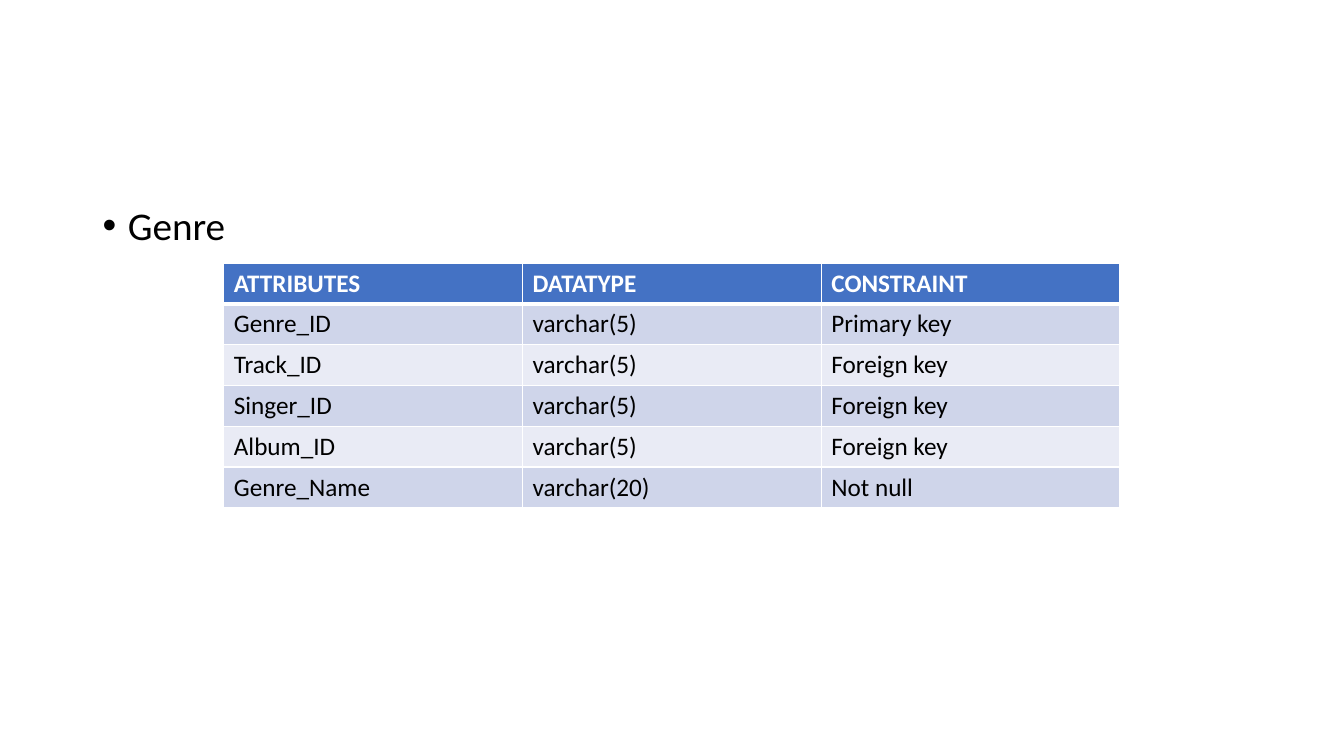
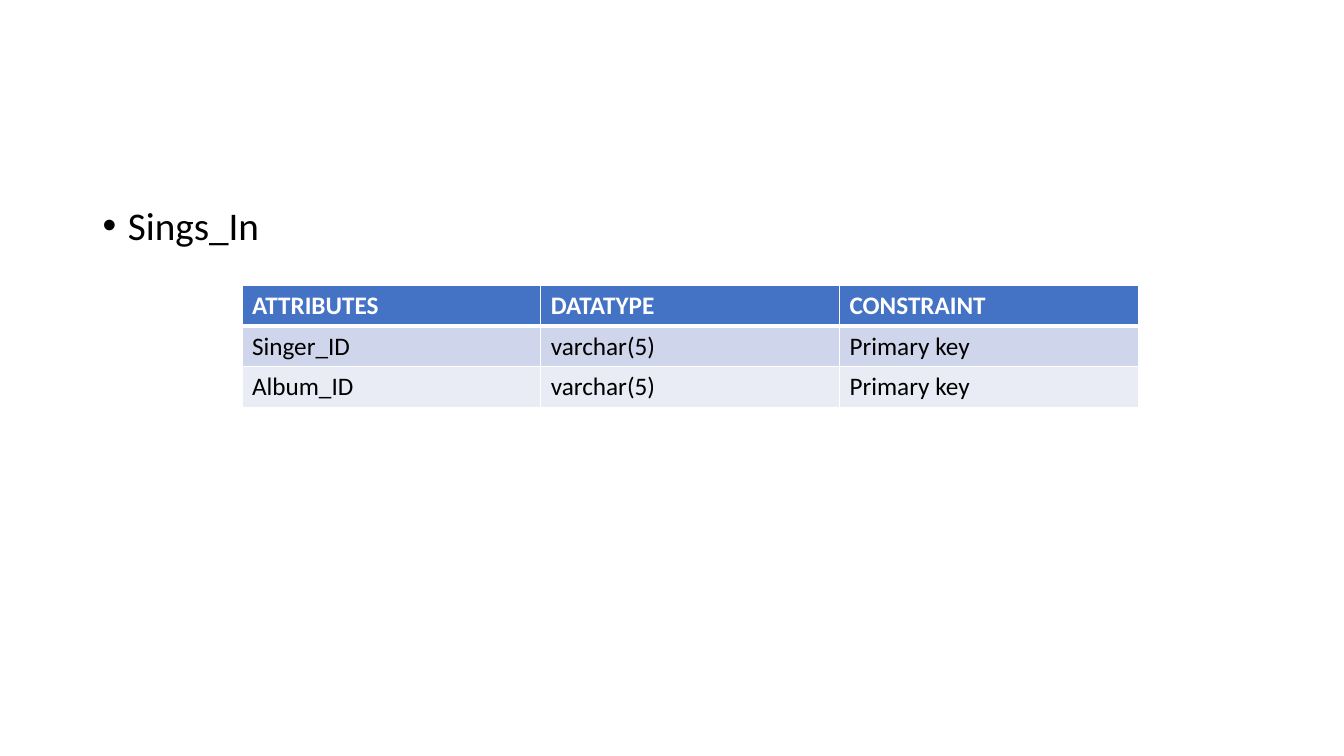
from lxml import etree
from pptx import Presentation
from pptx.dml.color import RGBColor
from pptx.oxml.ns import qn
from pptx.util import Inches, Pt

FONT = "Calibri"
BLACK, WHITE = "000000", "FFFFFF"
HEADER_FILL = "4472C4"
BAND_FILLS = ("CFD5EA", "E9EBF5")
HEADER = ("ATTRIBUTES", "DATATYPE", "CONSTRAINT")
BODY_BOX = (0.92, 2, 11.5, 4.76)
TABLE_W, ROW_H = 8.89, 0.405

ENTITIES = [
    ("Genre", (2.22, 2.61), [
        ("Genre_ID", "varchar(5)", "Primary key"),
        ("Track_ID", "varchar(5)", "Foreign key"),
        ("Singer_ID", "varchar(5)", "Foreign key"),
        ("Album_ID", "varchar(5)", "Foreign key"),
        ("Genre_Name", "varchar(20)", "Not null"),
    ]),
    ("Sings_In", (2.4, 2.83), [
        ("Singer_ID", "varchar(5)", "Primary key"),
        ("Album_ID", "varchar(5)", "Primary key"),
    ]),
]


def rgb(value):
    """Turn a hex string into a colour."""
    return RGBColor.from_string(value)


def write(tf, text, size=18, color=BLACK, bold=False):
    """Write formatted text into the first paragraph and return it."""
    p = tf.paragraphs[0]
    r = p.add_run()
    r.text = text
    r.font.name, r.font.size, r.font.bold = FONT, Pt(size), bold
    r.font.color.rgb = rgb(color)
    return p


def add_bullet(s, text, box):
    """Place a bulleted heading in the given box."""
    tf = s.shapes.add_textbox(*map(Inches, box)).text_frame
    tf.word_wrap = True
    p = write(tf, text, size=28)
    p.line_spacing, p.space_before = 0.9, Pt(10)
    pPr = p._p.get_or_add_pPr()
    pPr.set("marL", str(Inches(0.25)))
    pPr.set("indent", str(-Inches(0.25)))
    etree.SubElement(pPr, qn("a:buFont")).set("typeface", "Arial")
    etree.SubElement(pPr, qn("a:buChar")).set("char", "•")


def set_borders(cell, **widths):
    """Draw white cell borders, with a width in points for each of L, R, T, B."""
    tcPr = cell._tc.get_or_add_tcPr()
    for side, width in widths.items():
        ln = etree.SubElement(tcPr, qn(f"a:ln{side}"), w=str(Pt(width)))
        fill = etree.SubElement(ln, qn("a:solidFill"))
        etree.SubElement(fill, qn("a:srgbClr"), val=WHITE)


def add_attribute_table(s, rows, left, top):
    """Place a header and banded attribute rows from the given corner."""
    rows = [HEADER, *rows]
    box = (left, top, TABLE_W, ROW_H * len(rows))
    table = s.shapes.add_table(len(rows), len(HEADER), *map(Inches, box)).table
    for i, row in enumerate(rows):
        is_header = i == 0
        for j, text in enumerate(row):
            cell = table.cell(i, j)
            set_borders(cell, L=1, R=1, T=3 if i == 1 else 1, B=3 if is_header else 1)
            cell.fill.solid()
            cell.fill.fore_color.rgb = rgb(HEADER_FILL if is_header else BAND_FILLS[(i - 1) % 2])
            write(cell.text_frame, text, color=WHITE if is_header else BLACK, bold=is_header)


def add_entity_slide(prs, name, corner, rows):
    """Add a slide that names an entity and lists its attributes."""
    s = prs.slides.add_slide(prs.slide_layouts[6])
    add_bullet(s, name, BODY_BOX)
    add_attribute_table(s, rows, *corner)


prs = Presentation()
prs.slide_width, prs.slide_height = Inches(13.33), Inches(7.5)
for entity in ENTITIES:
    add_entity_slide(prs, *entity)
prs.save("out.pptx")
